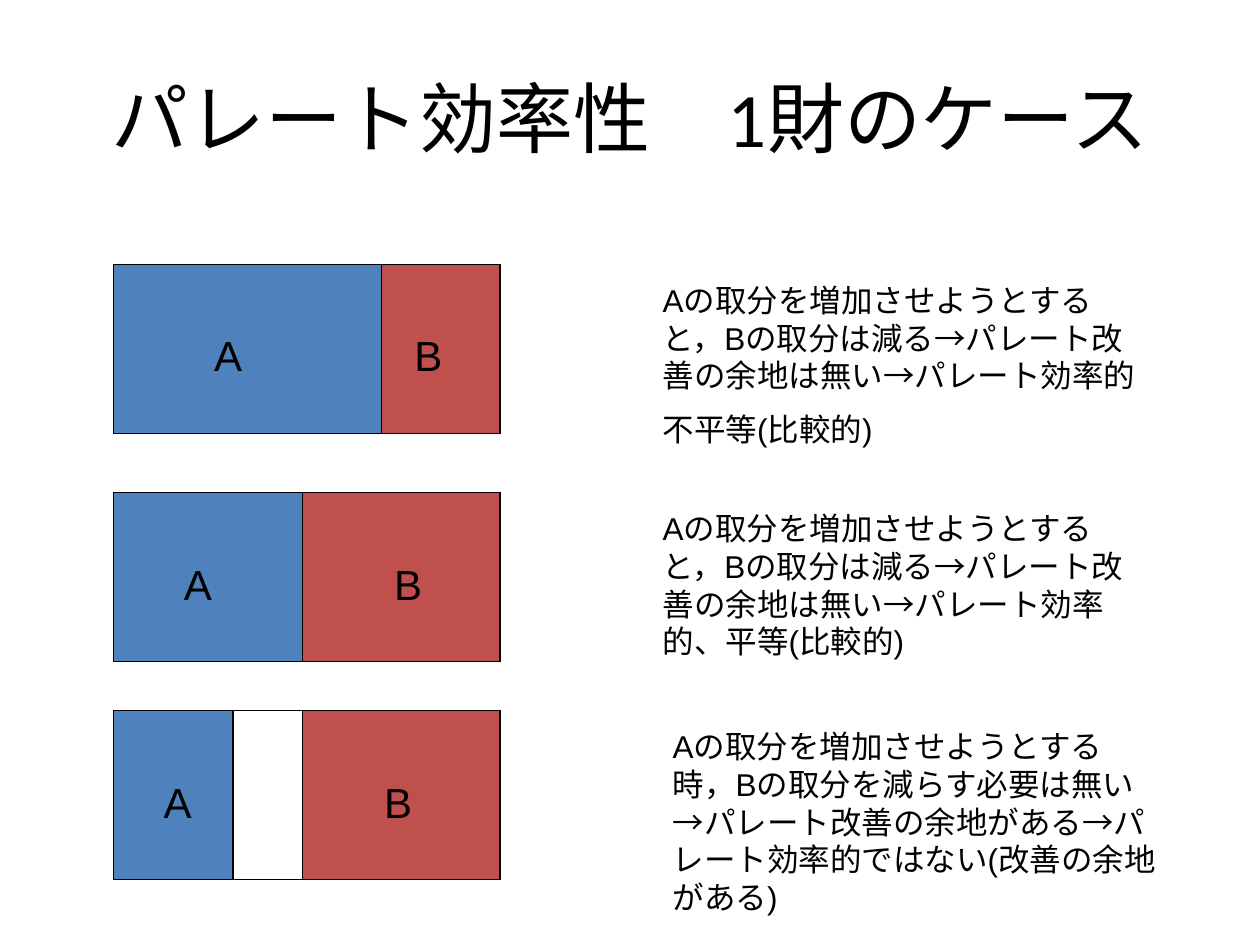
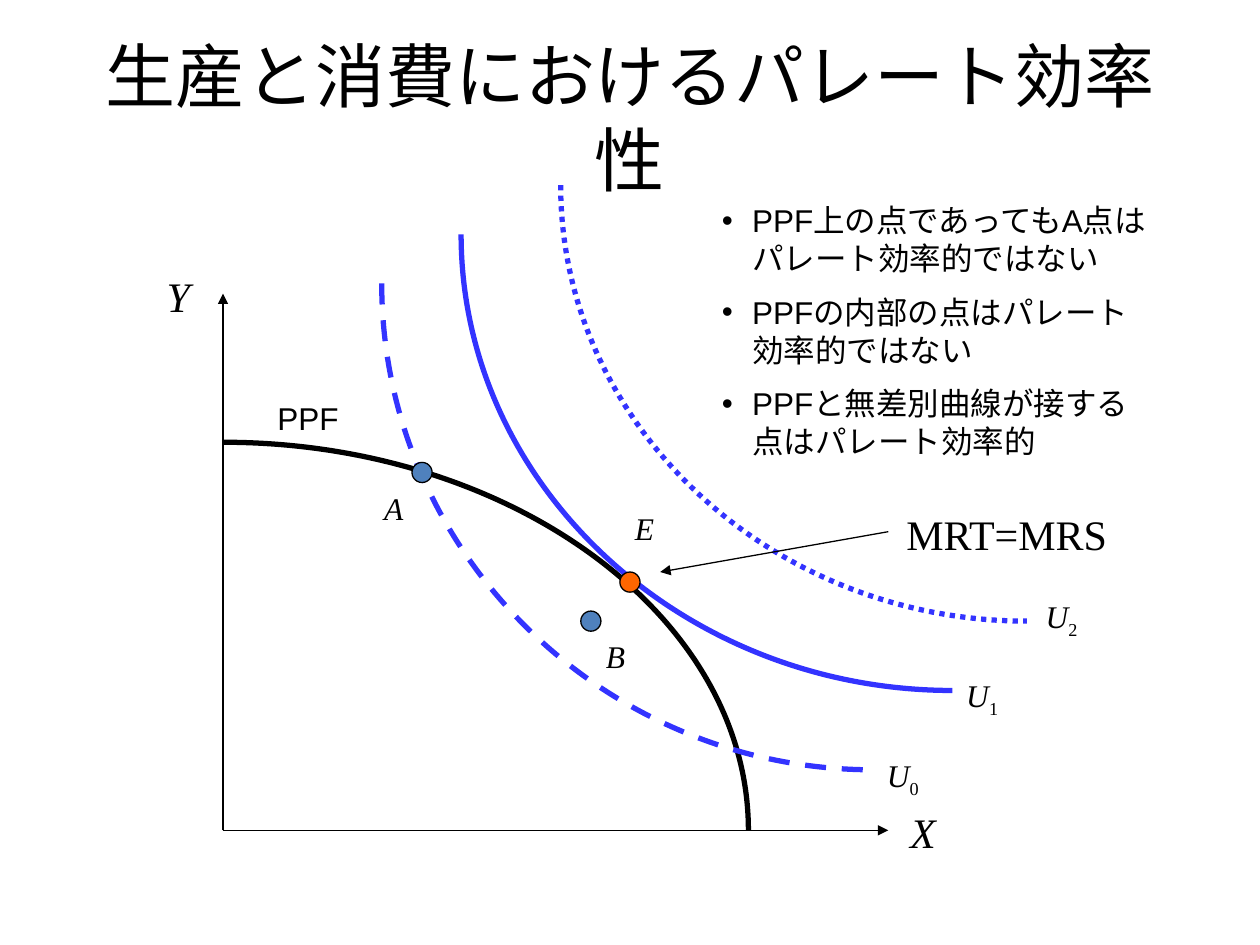
from lxml import etree
from pptx import Presentation
from pptx.dml.color import RGBColor
from pptx.enum.dml import MSO_LINE
from pptx.enum.shapes import MSO_CONNECTOR, MSO_SHAPE
from pptx.enum.text import MSO_ANCHOR, MSO_AUTO_SIZE, PP_ALIGN
from pptx.oxml.ns import qn
from pptx.util import Emu, Pt

RECTANGLE, OVAL = MSO_SHAPE.RECTANGLE, MSO_SHAPE.OVAL
STRAIGHT = MSO_CONNECTOR.STRAIGHT
DASH, DOT = MSO_LINE.DASH, MSO_LINE.ROUND_DOT
LEFT, CENTER = PP_ALIGN.LEFT, PP_ALIGN.CENTER
TOP, MIDDLE = MSO_ANCHOR.TOP, MSO_ANCHOR.MIDDLE
GROW, FIXED = MSO_AUTO_SIZE.SHAPE_TO_FIT_TEXT, MSO_AUTO_SIZE.NONE

EMU_PER_PX = 9144
BLACK, BLUE, RED = "000000", "4F81BD", "C0504D"
ORANGE, CURVE_BLUE = "FF6600", "3333FF"
SANS, SERIF, TITLE_FONT = "Arial", "Times New Roman", "Calibri"
BEZIER_QUARTER = 0.55
BULLET_INDENT = 24


def emu(px):
    return Emu(round(px * EMU_PER_PX))


def color(hex_string):
    return RGBColor.from_string(hex_string)


class Deck:
    """Draws styled elements on the current slide, with lengths in px."""

    def __init__(self, width, height):
        self.presentation = Presentation()
        self.presentation.slide_width = emu(width)
        self.presentation.slide_height = emu(height)
        self.slide = None

    def add_slide(self, title, size):
        layout = self.presentation.slide_layouts[6]
        self.slide = self.presentation.slides.add_slide(layout)
        self.text([title], 50, 30, 900, 125, size, TITLE_FONT, CENTER,
                  anchor=MIDDLE, auto_size=FIXED)

    def outline(self, shape, line_color=BLACK, width=0.75):
        shape.shadow.inherit = False
        shape.line.color.rgb = color(line_color)
        shape.line.width = Pt(width)

    def shape(self, kind, left, top, width, height, fill=None):
        shape = self.slide.shapes.add_shape(
            kind, emu(left), emu(top), emu(width), emu(height))
        self.outline(shape)
        if fill:
            shape.fill.solid()
            shape.fill.fore_color.rgb = color(fill)
        else:
            shape.fill.background()

    def text(self, texts, left, top, width, height, size, font=SANS,
             alignment=LEFT, italic=False, bullets=False, anchor=TOP,
             auto_size=GROW):
        box = self.slide.shapes.add_textbox(
            emu(left), emu(top), emu(width), emu(height))
        frame = box.text_frame
        frame.word_wrap = True
        frame.auto_size = auto_size
        frame.vertical_anchor = anchor
        for index, text in enumerate(texts):
            paragraph = frame.add_paragraph() if index else frame.paragraphs[0]
            paragraph.text = text
            paragraph.alignment = alignment
            paragraph.font.name = font
            paragraph.font.size = Pt(size)
            paragraph.font.italic = italic
            paragraph.font.color.rgb = color(BLACK)
            paragraph._p.get_or_add_pPr().set("hangingPunct", "0")
            if index:
                paragraph.space_before = Pt(size / 2)
            if bullets:
                self.bullet(paragraph)
        return frame.paragraphs[0]

    def bullet(self, paragraph):
        properties = paragraph._p.get_or_add_pPr()
        properties.set("marL", str(emu(BULLET_INDENT)))
        properties.set("indent", str(-emu(BULLET_INDENT)))
        run_defaults = properties.find(qn("a:defRPr"))
        run_defaults.addprevious(etree.Element(qn("a:buFont"), typeface=SANS))
        run_defaults.addprevious(etree.Element(qn("a:buChar"), char="•"))

    def label(self, text, left, top, width, size=18, font=SERIF, italic=True,
              subscript=None):
        height = 50 if size == 24 else 40
        paragraph = self.text([text], left, top, width, height, size, font,
                              CENTER, italic)
        if subscript:
            run = paragraph.add_run()
            run.text = subscript
            run.font.italic = False
            run._r.get_or_add_rPr().set("baseline", "-25000")

    def arrow(self, start, end):
        connector = self.slide.shapes.add_connector(
            STRAIGHT, *(emu(value) for value in (*start, *end)))
        connector.line.color.rgb = color(BLACK)
        connector.line.width = Pt(0.75)
        properties = connector._element.spPr
        etree.SubElement(properties.find(qn("a:ln")), qn("a:tailEnd"),
                         type="triangle")
        etree.SubElement(properties, qn("a:effectLst"))

    def quarter_curve(self, start, corner, end, line_color, dash=None):
        def toward_corner(point):
            return tuple(value + BEZIER_QUARTER * (target - value)
                         for value, target in zip(point, corner))

        builder = self.slide.shapes.build_freeform(*map(emu, start))
        points = (toward_corner(start), toward_corner(end), end)
        builder.add_line_segments(
            [tuple(map(emu, point)) for point in points], close=False)
        shape = builder.convert_to_shape()
        route = shape._element.find(".//" + qn("a:path"))
        curve = etree.Element(qn("a:cubicBezTo"))
        for segment in route.findall(qn("a:lnTo")):
            curve.append(segment[0])
            route.remove(segment)
        route.append(curve)
        shape.fill.background()
        self.outline(shape, line_color, 3)
        if dash:
            shape.line.dash_style = dash


def draw_one_good_case(deck):
    deck.add_slide("パレート効率性　1財のケース", 44)
    bar_left, bar_width, bar_height = 90, 307, 134
    bar_right = bar_left + bar_width
    rows = [
        (210, BLUE, 213, 303, 130, 319, 516, 146,
         ["Aの取分を増加させようとすると，Bの取分は減る→パレート改善の余地は無い→パレート効率的",
          "不平等(比較的)"]),
        (391, BLUE, 150, 240, 106, 303, 516, 131,
         ["Aの取分を増加させようとすると，Bの取分は減る→パレート改善の余地は無い→"
          "パレート効率的、平等(比較的)"]),
        (564, None, 95, 240, 90, 295, 524, 131,
         ["Aの取分を増加させようとする時，Bの取分を減らす必要は無い→パレート改善の余地がある→"
          "パレート効率的ではない(改善の余地がある)"]),
    ]
    for (top, bar_fill, a_width, b_left, a_label, b_label, note_left,
         note_height, notes) in rows:
        deck.shape(RECTANGLE, bar_left, top, bar_width, bar_height, bar_fill)
        deck.shape(RECTANGLE, bar_left, top, a_width, bar_height, BLUE)
        deck.shape(RECTANGLE, b_left, top, bar_right - b_left, bar_height, RED)
        deck.label("A", a_label, top + 47, 102, 24, SANS, False)
        deck.label("B", b_label, top + 47, 39, 24, SANS, False)
        deck.text(notes, note_left, top + 8, 409, note_height, 18)


def draw_production_and_consumption(deck):
    deck.add_slide("生産と消費におけるパレート効率性", 40)
    origin = (177, 659)
    deck.arrow(origin, (705, 659))
    deck.arrow(origin, (177, 233))
    deck.quarter_curve((177, 351), (594, 351), (594, 659), BLACK)

    indifference_curves = [
        ((366, 186), (756, 548), None),
        ((303, 225), (693, 611), DASH),
        ((445, 147), (815, 493), DOT),
    ]
    for start, end, dash in indifference_curves:
        deck.quarter_curve(start, (start[0], end[1]), end, CURVE_BLUE, dash)

    for left, top, fill in [(492, 454, ORANGE), (327, 367, BLUE),
                            (461, 485, BLUE)]:
        deck.shape(OVAL, left, top, 16, 16, fill)

    for name, left, top in [("Y", 114, 210), ("X", 705, 635)]:
        deck.label(name, left, top, 55, 24)
    for subscript, left, top in [("0", 689, 595), ("1", 752, 532),
                                 ("2", 815, 469)]:
        deck.label("U", left, top, 55, subscript=subscript)
    for name, left, top, width in [("A", 295, 383, 31), ("B", 469, 501, 39),
                                   ("E", 492, 399, 39)]:
        deck.label(name, left, top, width)
    deck.label("PPF", 209, 312, 71, font=SANS, italic=False)
    deck.label("MRT=MRS", 657, 399, 284, 24, italic=False)
    deck.text(["PPF上の点であってもA点はパレート効率的ではない",
               "PPFの内部の点はパレート効率的ではない",
               "PPFと無差別曲線が接する点はパレート効率的"],
              563, 155, 362, 220, 18, bullets=True)
    deck.arrow((705, 422), (524, 454))


def main():
    deck = Deck(1000, 750)
    draw_one_good_case(deck)
    draw_production_and_consumption(deck)
    deck.presentation.save("out.pptx")


if __name__ == "__main__":
    main()
